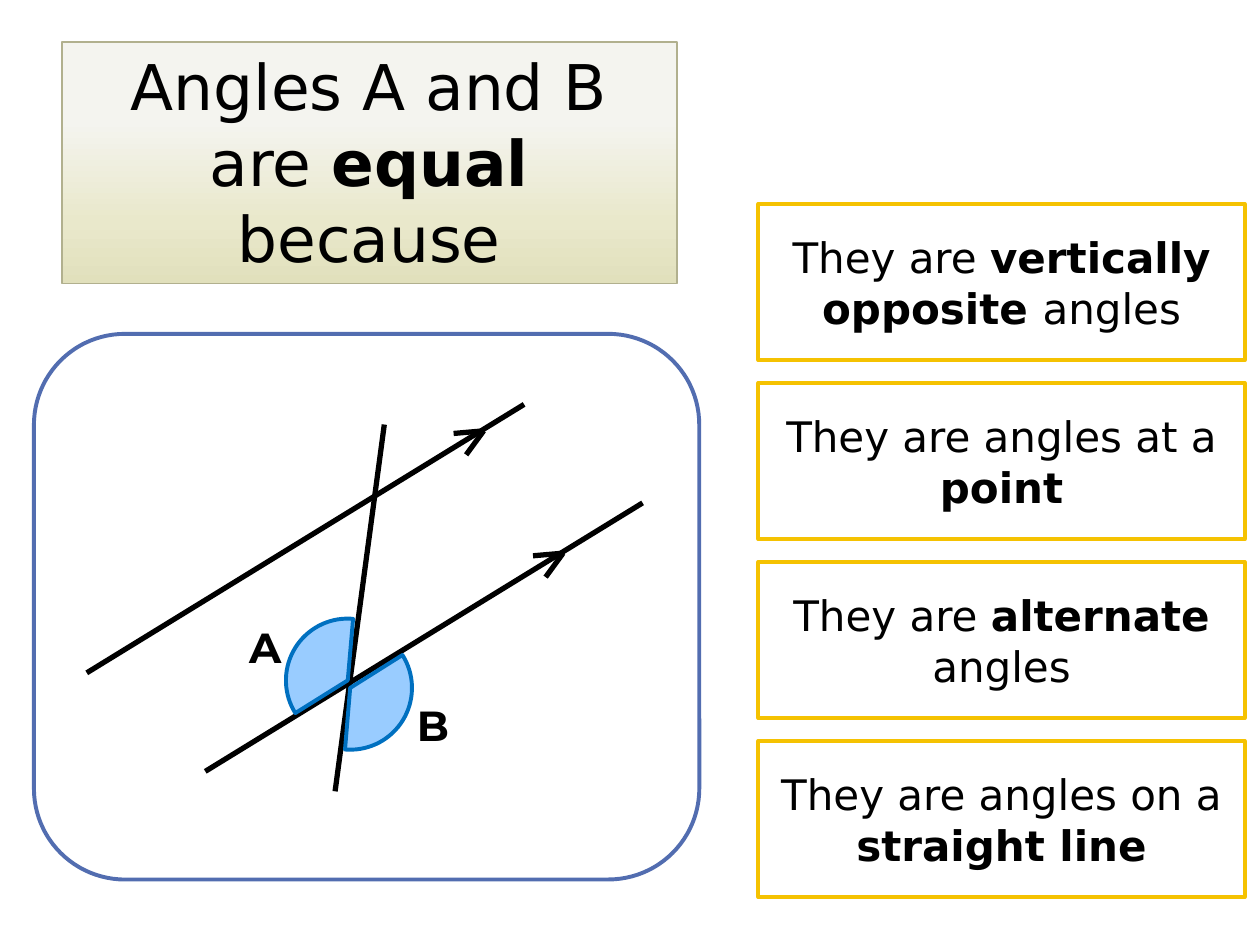
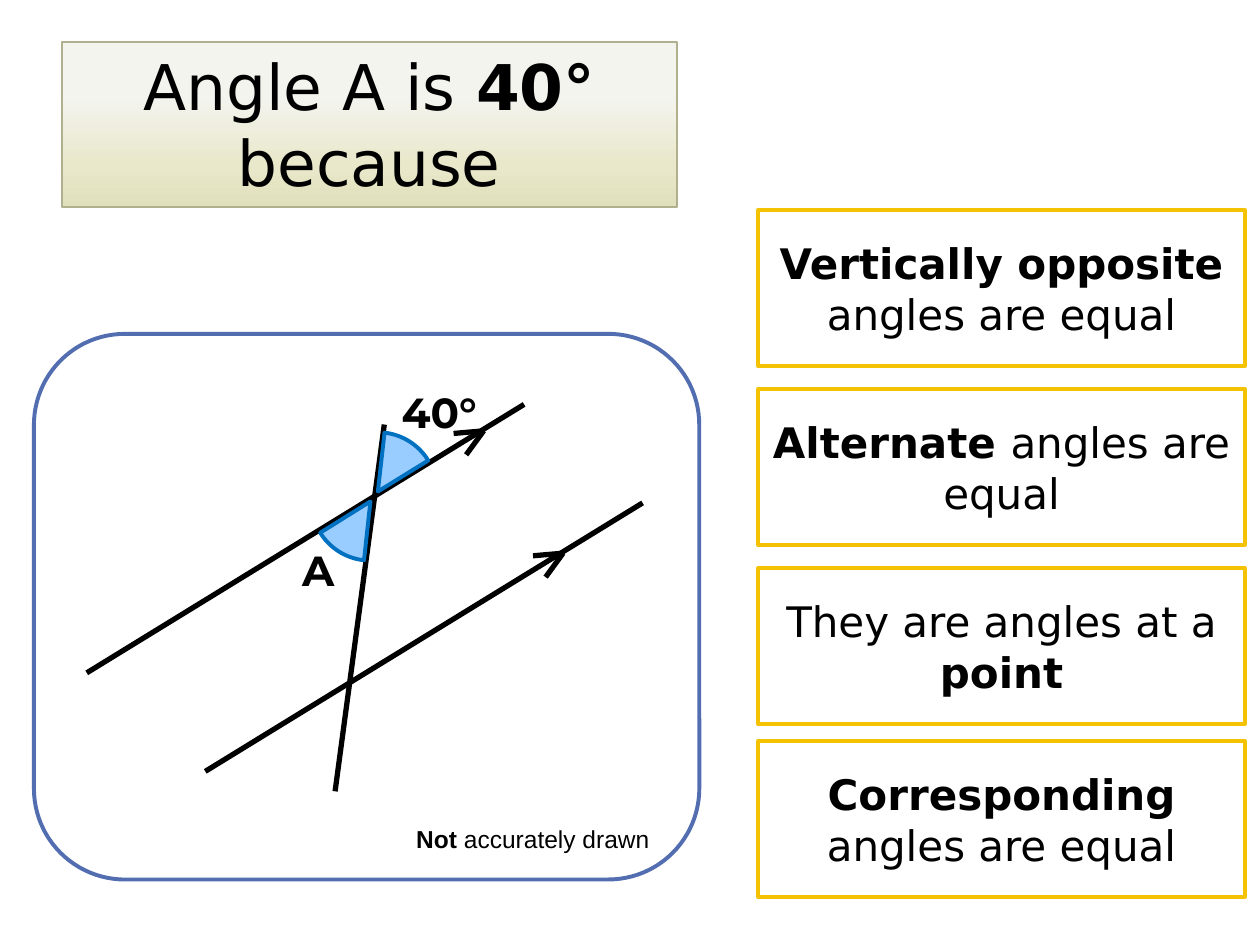
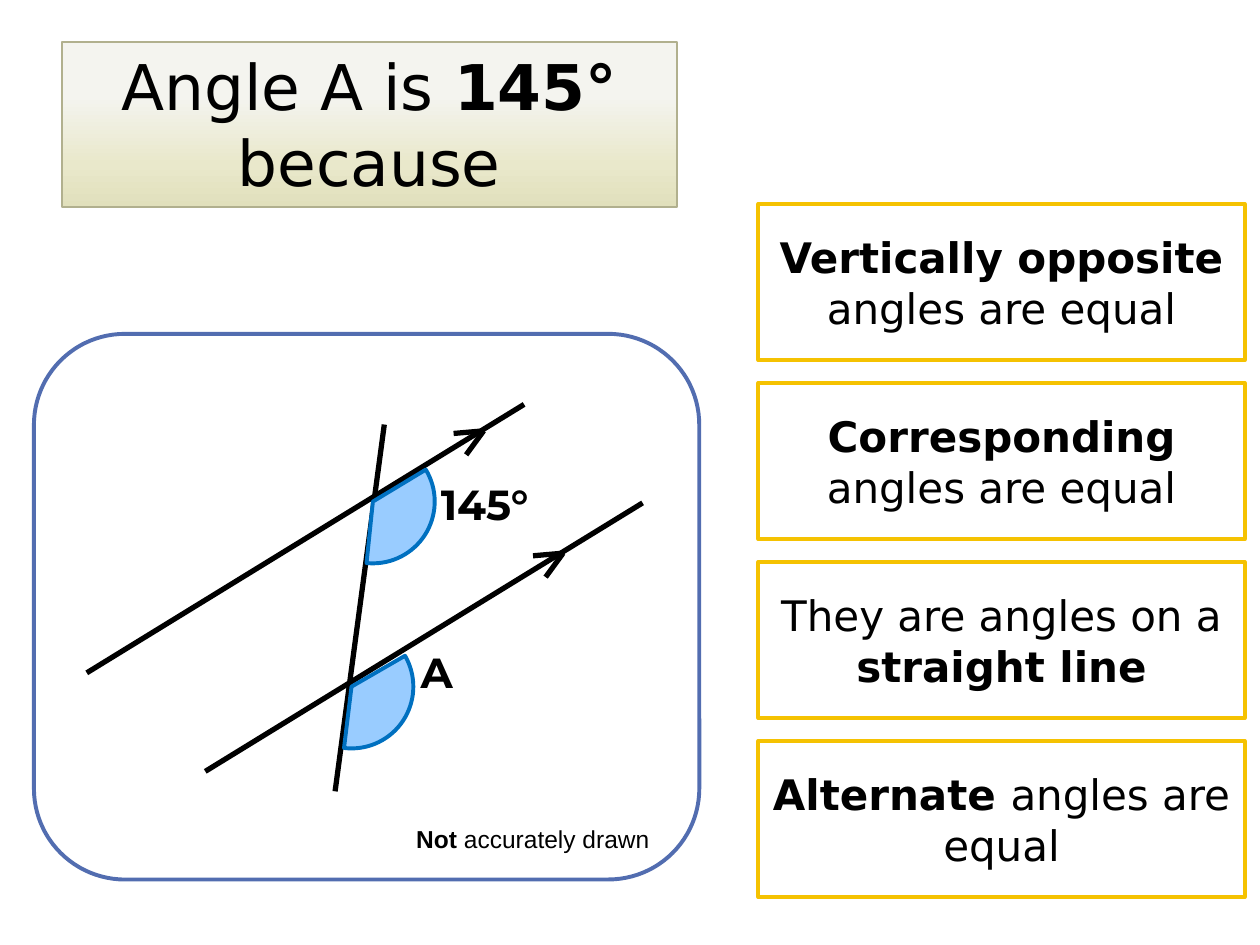
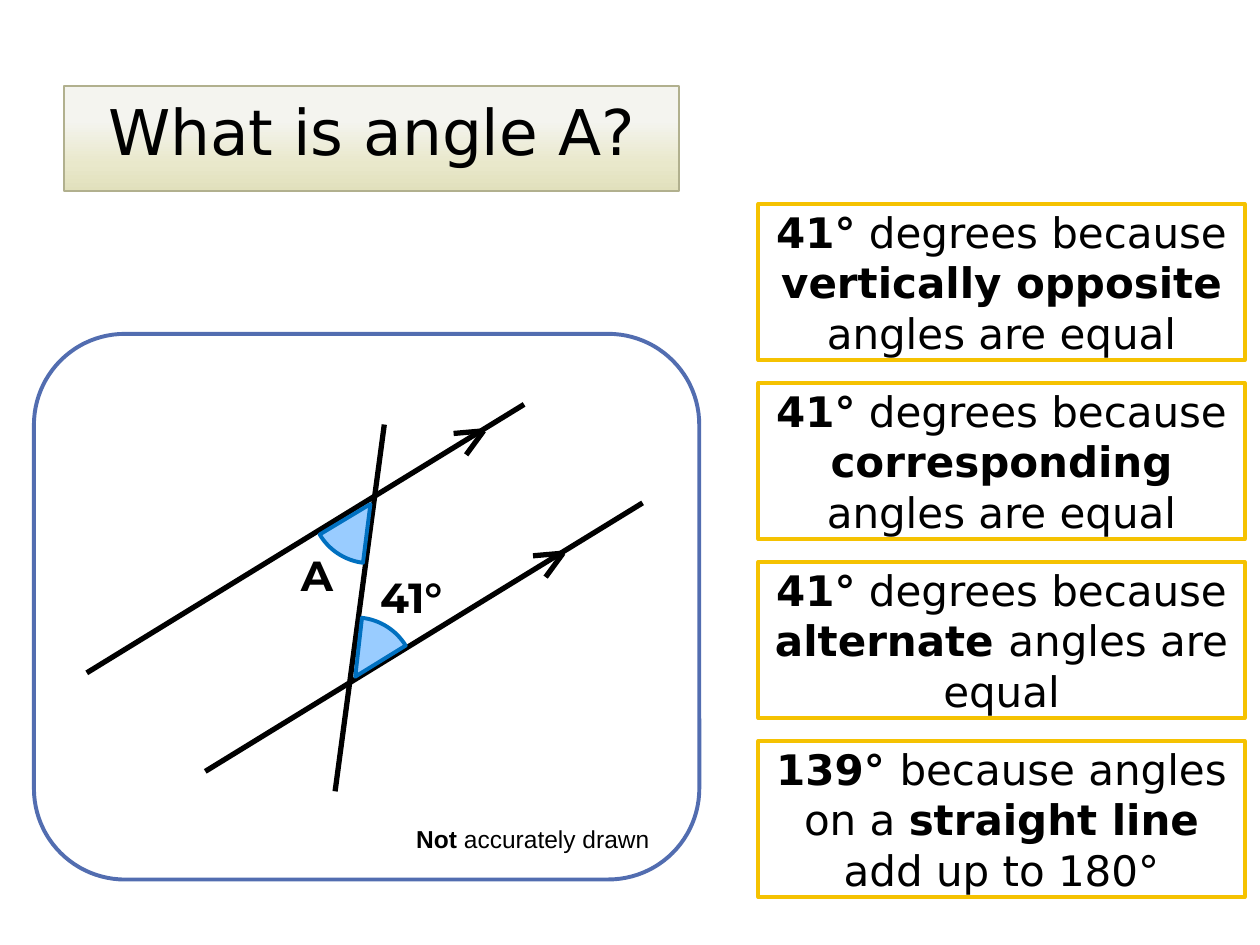
from copy import deepcopy

from lxml import etree
from pptx import Presentation
from pptx.dml.color import RGBColor
from pptx.enum.shapes import MSO_CONNECTOR, MSO_SHAPE
from pptx.enum.text import MSO_ANCHOR, MSO_AUTO_SIZE, PP_ALIGN
from pptx.oxml.ns import qn
from pptx.util import Pt

STRAIGHT = MSO_CONNECTOR.STRAIGHT
RECT, ROUNDED, PIE = MSO_SHAPE.RECTANGLE, MSO_SHAPE.ROUNDED_RECTANGLE, MSO_SHAPE.PIE
TOP, MIDDLE = MSO_ANCHOR.TOP, MSO_ANCHOR.MIDDLE
GROW = MSO_AUTO_SIZE.SHAPE_TO_FIT_TEXT
LEFT, CENTER = PP_ALIGN.LEFT, PP_ALIGN.CENTER

BLACK = RGBColor(0x00, 0x00, 0x00)
WHITE = RGBColor(0xFF, 0xFF, 0xFF)
PANEL_BLUE = RGBColor(0x52, 0x6D, 0xB0)
ANGLE_FILL = RGBColor(0x99, 0xCC, 0xFF)
ANGLE_LINE = RGBColor(0x00, 0x70, 0xC0)
OPTION_GOLD = RGBColor(0xF5, 0xC2, 0x01)
TITLE_LINE = RGBColor(0xB1, 0xB0, 0x8E)
TITLE_STOPS = [
    (0, RGBColor(0xE1, 0xE0, 0xBC)),
    (0.26, RGBColor(0xE9, 0xE8, 0xCB)),
    (0.67, RGBColor(0xF4, 0xF4, 0xEF)),
]

MAIN_FONT, LABEL_FONT, NOTE_FONT = "DejaVu Sans", "Montserrat", "Arial"

PANEL = (19.4, 190.8, 380.2, 311.8)
OPTIONS = (433.4, 116.6, 277.9, 396.1)
OPTION_HEIGHT = 89.3

PARALLEL = [(30.2, 193.7), (280.1, 40.3)]
PARALLEL_SHIFT = (67.7, 56.3)
CHEVRON = [(239.8, 56.9), (257, 55.4), (247, 69.1)]
CHEVRON_SHIFT = (45.4, 69.9)
TRANSVERSAL = [(200.2, 51.8), (172.1, 261.4)]

OBTUSE = (70.6, 0, 127)
ACUTE = (67.7, 3.52, 55.32)

SLIDES = [
    {
        "title": ("Angles A and B are *equal *because", (35.3, 23.8, 351.4, 138.2)),
        "angles": [(OBTUSE, 144, 162.7, 148), (OBTUSE, 145.4, 167, 327.8)],
        "labels": [("A", 115.9, 160.6, 28.1), ("B", 211.7, 205.2, 28.1)],
        "options": [
            "They are *vertically opposite *angles",
            "They are angles at a *point",
            "They are *alternate *angles",
            "They are angles on a *straight line",
        ],
        "note": False,
    },
    {
        "title": ("Angle A is *40°* because", (35.3, 23.8, 351.4, 94.3)),
        "angles": [(ACUTE, 158.4, 61.9, 92.7), (ACUTE, 162.7, 56.2, 273)],
        "labels": [("A", 146.2, 116.6, 28.1), ("40°", 203, 26.6, 73.4)],
        "options": [
            "*Vertically opposite *angles are equal",
            "*Alternate *angles are equal",
            "They are angles at a *point",
            "*Corresponding *angles are equal",
        ],
        "option_drop": 3.4,
    },
    {
        "title": ("Angle A is *145° *because", (35.3, 23.8, 351.4, 94.3)),
        "angles": [(OBTUSE, 146.2, 166.3, 330), (OBTUSE, 158.4, 60.5, 328.9)],
        "labels": [("A", 213.8, 175, 28.1), ("145°", 225.4, 79.2, 73.4)],
        "options": [
            "*Vertically opposite *angles are equal",
            "*Corresponding *angles are equal",
            "They are angles on a *straight line",
            "*Alternate *angles are equal",
        ],
    },
    {
        "title": ("What is angle A?", (36.7, 49, 351.4, 51.1)),
        "angles": [(ACUTE, 149.8, 162, 273), (ACUTE, 158.4, 63.4, 93.7)],
        "labels": [("41°", 190.8, 132.5, 60.5), ("A", 145.4, 119.5, 36.7)],
        "options": [
            "*41°* degrees because *vertically opposite *angles are equal",
            "*41°* degrees because *corresponding *angles are equal",
            "*41°* degrees because *alternate *angles are equal",
            "*139° *because angles on a *straight line *add up to 180°",
        ],
    },
]


def write(sp, marked, size, font, align=CENTER, anchor=TOP):
    tf = sp.text_frame
    tf.word_wrap = True
    tf.vertical_anchor = anchor
    p = tf.paragraphs[0]
    p.alignment = align
    for i, part in enumerate(marked.split("*")):
        if part:
            r = p.add_run()
            r.text = part
            r.font.size = Pt(size)
            r.font.name = font
            r.font.bold = i % 2 == 1
            r.font.color.rgb = BLACK


def add_box(s, kind, box, fill, line):
    sp = s.shapes.add_shape(kind, *map(Pt, box))
    sp.shadow.inherit = False
    sp.fill.solid()
    sp.fill.fore_color.rgb = fill
    sp.line.color.rgb = line
    sp.line.width = Pt(2.25)
    return sp


def add_text(s, box, marked, size, font, align):
    sp = s.shapes.add_textbox(*map(Pt, box))
    write(sp, marked, size, font, align)
    sp.text_frame.auto_size = GROW


def add_lines(shapes, points, left, top):
    for (x1, y1), (x2, y2) in zip(points, points[1:]):
        c = shapes.add_connector(
            STRAIGHT, Pt(left + x1), Pt(top + y1), Pt(left + x2), Pt(top + y2)
        )
        c.line.color.rgb = BLACK
        c.line.width = Pt(3)
        etree.SubElement(c.element.find(qn("p:spPr")), qn("a:effectLst"))


def add_title(s, marked, box):
    sp = s.shapes.title
    sp.left, sp.top, sp.width, sp.height = map(Pt, box)
    sp.fill.gradient()
    sp.fill.gradient_angle = 90
    stops = sp.element.find(".//" + qn("a:gsLst"))
    stops.append(deepcopy(stops[0]))
    for stop, (position, color) in zip(sp.fill.gradient_stops, TITLE_STOPS):
        stop.position = position
        stop.color.rgb = color
    sp.line.color.rgb = TITLE_LINE
    sp.line.width = Pt(1)
    write(sp, marked, 36, MAIN_FONT)
    sp.text_frame.auto_size = GROW


def add_diagram(s, box, angles, labels, note):
    left, top = box[:2]
    add_box(s, ROUNDED, box, WHITE, PANEL_BLUE)
    group = s.shapes.add_group_shape()
    for points, shift in ((PARALLEL, PARALLEL_SHIFT), (CHEVRON, CHEVRON_SHIFT)):
        for dx, dy in ((0, 0), shift):
            add_lines(group.shapes, points, left + dx, top + dy)
    add_lines(s.shapes, TRANSVERSAL, left, top)
    for (size, start, end), x, y, rotation in angles:
        sp = add_box(s, PIE, (left + x, top + y, size, size), ANGLE_FILL, ANGLE_LINE)
        sp.rotation = rotation
        sp.adjustments[0] = start * 0.6
        sp.adjustments[1] = end * 0.6
    for text, x, y, width in labels:
        add_text(s, (left + x, top + y, width, 36), "*" + text, 24, LABEL_FONT, LEFT)
    if note:
        note_box = (left + 210.2, top + 276.5, 149.8, 24.5)
        add_text(s, note_box, "*Not* accurately drawn", 14, NOTE_FONT, CENTER)


def add_options(s, box, options, drop):
    left, top, width, height = box
    last = len(options) - 1
    pitch = (height - OPTION_HEIGHT) / last
    for i, marked in enumerate(options):
        y = top + i * pitch + (drop if i < last else 0)
        sp = add_box(s, RECT, (left, y, width, OPTION_HEIGHT), WHITE, OPTION_GOLD)
        write(sp, marked, 24, MAIN_FONT, anchor=MIDDLE)


def main():
    prs = Presentation()
    prs.slide_width, prs.slide_height = Pt(720), Pt(540)
    title_only = prs.slide_layouts[5]
    for question in SLIDES:
        s = prs.slides.add_slide(title_only)
        add_title(s, *question["title"])
        add_diagram(
            s, PANEL, question["angles"], question["labels"], question.get("note", True)
        )
        add_options(s, OPTIONS, question["options"], question.get("option_drop", 0))
    prs.save("out.pptx")


if __name__ == "__main__":
    main()
